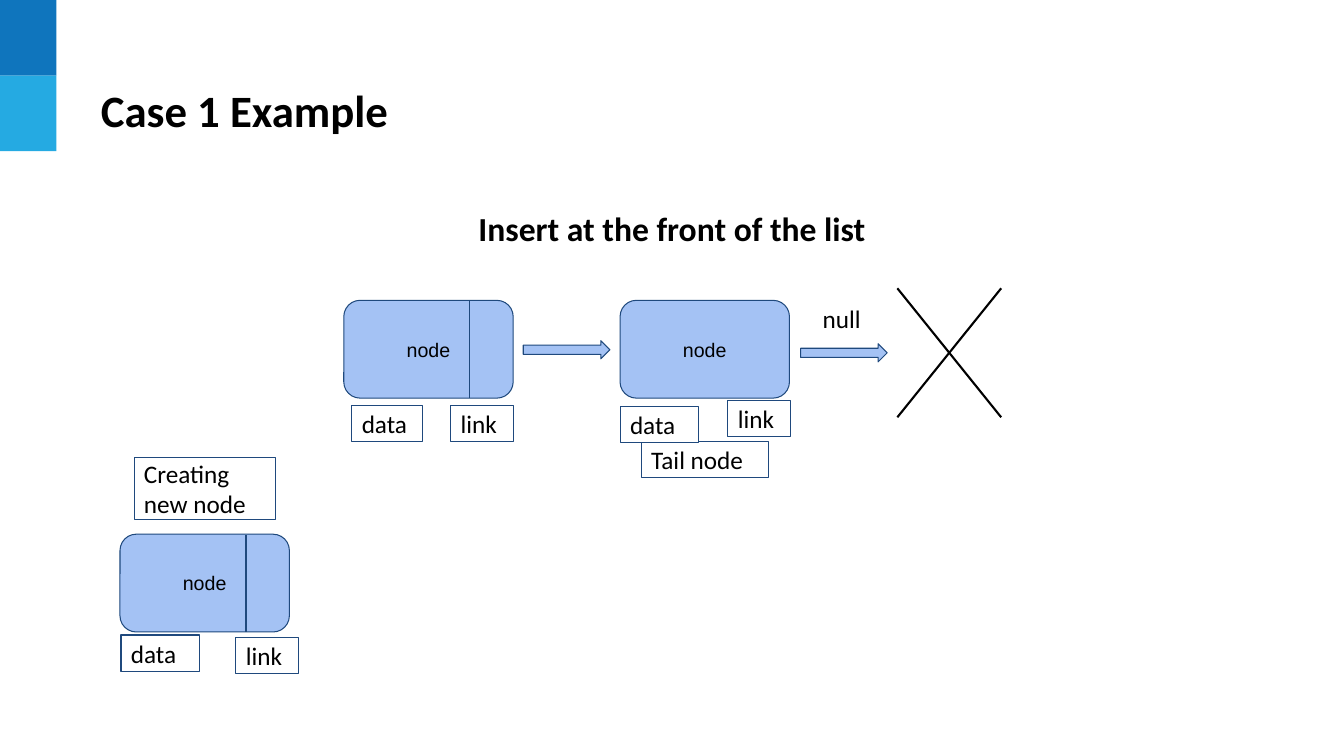
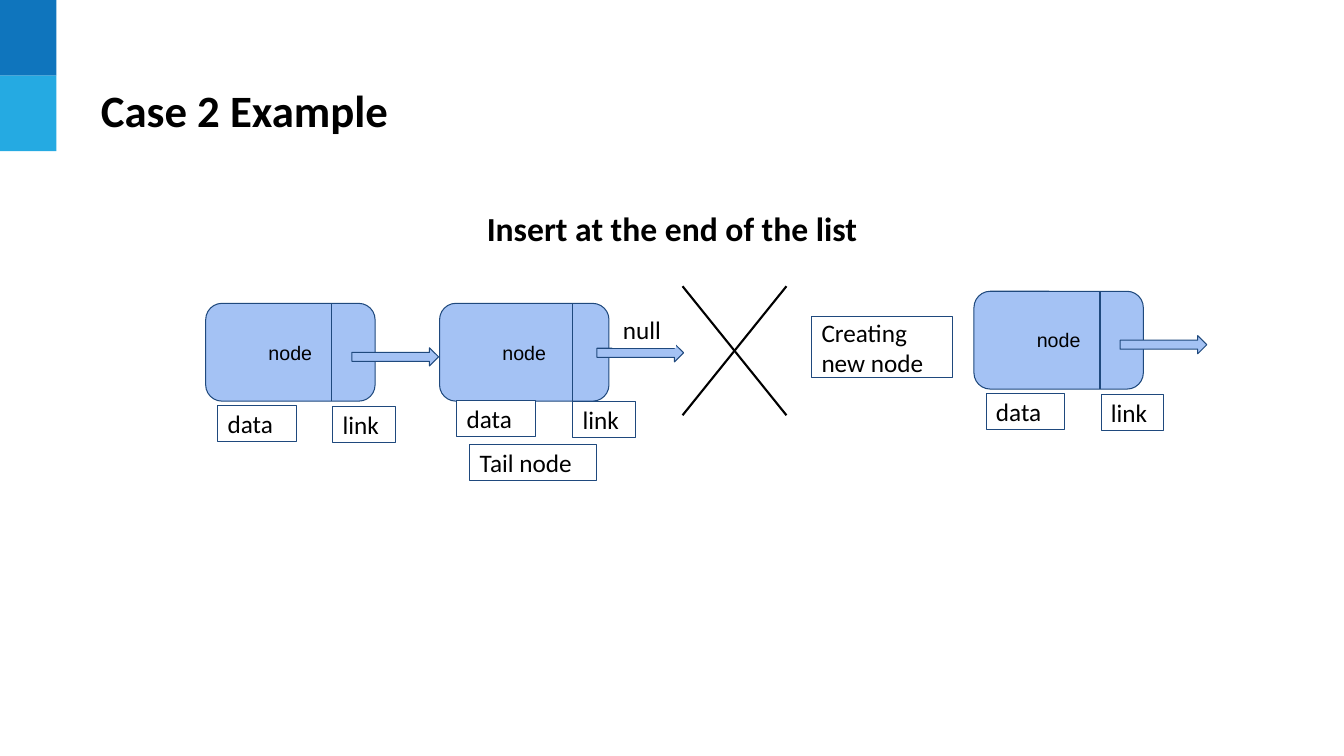
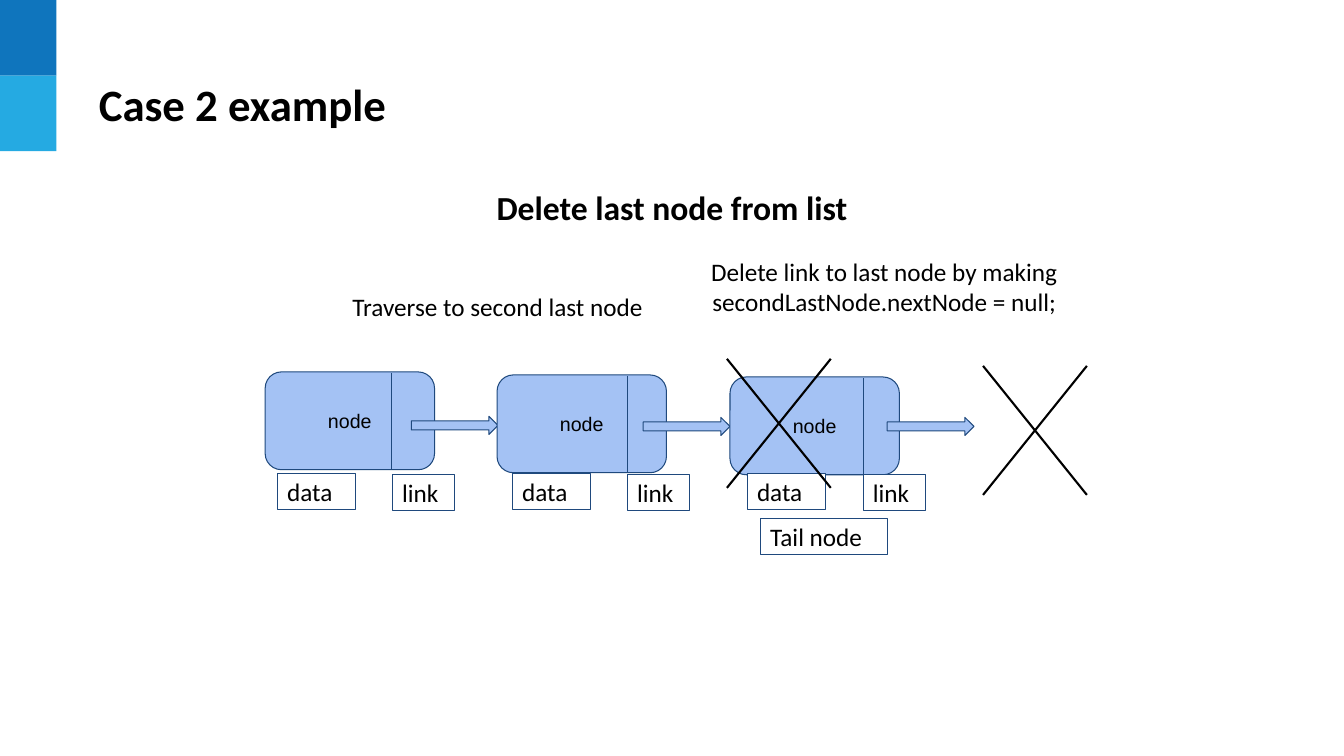
from dataclasses import dataclass, replace

from lxml import etree
from pptx import Presentation
from pptx.dml.color import RGBColor as RGB
from pptx.enum.shapes import MSO_CONNECTOR, MSO_SHAPE as SHAPE
from pptx.enum.text import MSO_ANCHOR as ANCHOR, MSO_AUTO_SIZE as AUTO, PP_ALIGN as ALIGN
from pptx.oxml.ns import qn
from pptx.presentation import Presentation as Deck
from pptx.shapes.autoshape import Shape
from pptx.slide import Slide
from pptx.text.text import TextFrame
from pptx.util import Inches, Pt


@dataclass(frozen=True)
class Theme:
    ink: RGB = RGB(0x00, 0x00, 0x00)
    paper: RGB = RGB(0xFF, 0xFF, 0xFF)
    node: RGB = RGB(0xA4, 0xC2, 0xF4)
    outline: RGB = RGB(0x1F, 0x49, 0x7D)
    bands: tuple[RGB, ...] = (RGB(0x0F, 0x75, 0xBD), RGB(0x25, 0xAA, 0xE2))
    text_font: str = "Calibri"
    node_font: str = "Arial"
    title_size: float = 32
    heading_size: float = 24
    label_size: float = 18
    node_size: float = 14
    thin: float = 0.75
    thick: float = 1.5


@dataclass(frozen=True)
class Box:
    x: float
    y: float
    w: float
    h: float


@dataclass(frozen=True)
class Offset:
    dx: float
    dy: float


@dataclass(frozen=True)
class Node:
    x: float
    y: float
    divider: float | None = 1.25
    arrow: Offset | None = Offset(1.45, 0.44)
    tail: Offset | None = None
    link: Offset = Offset(1.26, 1.02)
    data: Offset = Offset(0.12, 1.01)
    data_width: float = 0.78


@dataclass(frozen=True)
class Cross:
    x: float
    y: float


@dataclass(frozen=True)
class Caption:
    text: str
    box: Box
    outlined: bool = False
    align: ALIGN = ALIGN.LEFT
    top_inset: float | None = None


@dataclass(frozen=True)
class Case:
    title: str
    heading: str
    nodes: tuple[Node, ...]
    crosses: tuple[Cross, ...]
    captions: tuple[Caption, ...]
    title_box: Box = Box(0.9, 0.64, 9.52, 0.9)
    heading_box: Box = Box(1.59, 1.96, 10.15, 0.61)


T = Theme()
NODE_W, NODE_H = 1.68, 0.97
ARROW_W, ARROW_H = 0.86, 0.18
LABEL_H, LINK_W, TAIL_W = 0.36, 0.62, 1.26
CROSS_W, CROSS_H = 1.03, 1.28
BAND_W, BAND_H = 0.56, 0.75

TAIL_NODE = Node(0, 0, divider=1.32, arrow=Offset(1.56, 0.4), tail=Offset(0.3, 1.4),
                 link=Offset(1.32, 0.97), data=Offset(0.17, 0.96))

CASES = (
    Case(
        "Case 1 Example", "Insert at the front of the list",
        nodes=(
            Node(6.15, 2.98, divider=None, arrow=Offset(1.79, 0.43), tail=Offset(0.21, 1.4),
                 link=Offset(1.07, 0.99), data=Offset(0, 1.05)),
            Node(3.41, 2.98, arrow=Offset(1.78, 0.4), link=Offset(1.06, 1.04),
                 data=Offset(0.08, 1.04), data_width=0.7),
            Node(1.19, 5.3, arrow=None, link=Offset(1.15, 1.02), data=Offset(0.01, 1)),
        ),
        crosses=(Cross(8.9, 2.86),),
        captions=(
            Caption("null", Box(8.06, 2.98, 0.62, 0.36)),
            Caption("Creating new node", Box(1.33, 4.54, 1.4, 0.61), outlined=True),
        ),
    ),
    Case(
        "Case 2 Example", "Insert at the end of the list",
        nodes=(Node(9.66, 2.89), replace(TAIL_NODE, x=4.36, y=3.01), Node(2.04, 3.01)),
        crosses=(Cross(6.77, 2.84),),
        captions=(
            Caption("Creating new node", Box(8.05, 3.14, 1.4, 0.61), outlined=True),
            Caption("null", Box(6.08, 3.09, 0.62, 0.36)),
        ),
    ),
    Case(
        "Case 2 example", "Delete last node from list",
        nodes=(
            Node(2.63, 3.69),
            Node(4.93, 3.72, divider=1.29, arrow=Offset(1.45, 0.42),
                 link=Offset(1.29, 0.99), data=Offset(0.15, 0.98)),
            replace(TAIL_NODE, x=7.24, y=3.74),
        ),
        crosses=(Cross(9.75, 3.63), Cross(7.21, 3.56)),
        captions=(
            Caption("Traverse to second last node", Box(3.11, 2.73, 3.65, 0.61),
                    align=ALIGN.CENTER),
            Caption("Delete link to last node by making secondLastNode.nextNode = null;",
                    Box(6.38, 2.52, 4.78, 0.9), align=ALIGN.CENTER, top_inset=0.02),
        ),
        title_box=Box(0.88, 0.58, 9.01, 0.9),
        heading_box=Box(4.07, 1.75, 5.19, 0.61),
    ),
)


def inches(box: Box) -> tuple[Inches, ...]:
    return tuple(Inches(v) for v in (box.x, box.y, box.w, box.h))


def write(tf: TextFrame, text: str, size: float, font: str = T.text_font,
          bold: bool = False, align: ALIGN = ALIGN.LEFT,
          anchor: ANCHOR = ANCHOR.MIDDLE, inset: float = 0.1) -> None:
    tf.text = text
    tf.word_wrap = True
    tf.auto_size = AUTO.NONE
    tf.vertical_anchor = anchor
    tf.margin_left = tf.margin_right = Inches(0.1)
    tf.margin_top = tf.margin_bottom = Inches(inset)
    for p in tf.paragraphs:
        p.alignment = align
        for r in p.runs:
            r.font.name, r.font.size, r.font.bold = font, Pt(size), bold
            r.font.color.rgb = T.ink


def add_shape(s: Slide, kind: SHAPE, box: Box, fill: RGB, line: RGB | None = T.outline) -> Shape:
    sp = s.shapes.add_shape(kind, *inches(box))
    sp.shadow.inherit = False
    sp.fill.solid()
    sp.fill.fore_color.rgb = fill
    if line is None:
        sp.line.fill.background()
    else:
        sp.line.color.rgb = line
        sp.line.width = Pt(T.thin)
    return sp


def add_line(s: Slide, x1: float, y1: float, x2: float, y2: float,
             color: RGB, width: float) -> None:
    c = s.shapes.add_connector(MSO_CONNECTOR.STRAIGHT, Inches(x1), Inches(y1),
                               Inches(x2), Inches(y2))
    c.line.color.rgb = color
    c.line.width = Pt(width)
    etree.SubElement(c.element.spPr, qn("a:effectLst"))


def add_caption(s: Slide, caption: Caption) -> None:
    line = T.outline if caption.outlined else T.paper
    sp = add_shape(s, SHAPE.RECTANGLE, caption.box, T.paper, line)
    write(sp.text_frame, caption.text, T.label_size, align=caption.align)
    if caption.top_inset is not None:
        sp.text_frame.vertical_anchor = ANCHOR.TOP
        sp.text_frame.margin_top = Inches(caption.top_inset)


def add_node(s: Slide, node: Node) -> None:
    body = add_shape(s, SHAPE.ROUNDED_RECTANGLE, Box(node.x, node.y, NODE_W, NODE_H), T.node)
    write(body.text_frame, "node", T.node_size, T.node_font, align=ALIGN.CENTER)
    if node.divider is not None:
        x = node.x + node.divider
        add_line(s, x, node.y + 0.01, x, node.y + NODE_H, T.outline, T.thin)
    if node.arrow is not None:
        add_shape(s, SHAPE.RIGHT_ARROW,
                  Box(node.x + node.arrow.dx, node.y + node.arrow.dy, ARROW_W, ARROW_H), T.node)
    labels = (("Tail node", node.tail, TAIL_W), ("link", node.link, LINK_W),
              ("data", node.data, node.data_width))
    for text, offset, width in labels:
        if offset is not None:
            box = Box(node.x + offset.dx, node.y + offset.dy, width, LABEL_H)
            add_caption(s, Caption(text, box, outlined=True))


def add_cross(s: Slide, cross: Cross) -> None:
    top, bottom = cross.y, cross.y + CROSS_H
    for start, end in ((top, bottom), (bottom, top)):
        add_line(s, cross.x + CROSS_W, start, cross.x, end, T.ink, T.thick)


def add_bands(prs: Deck, s: Slide) -> None:
    tree = prs.slide_master.shapes.element
    for i, color in enumerate(T.bands):
        band = add_shape(s, SHAPE.RECTANGLE, Box(0, i * BAND_H, BAND_W, BAND_H), color, None)
        band.element.nvSpPr.cNvPr.set("id", str(100 + i))
        tree.insert(2 + i, band.element)


def add_case(s: Slide, case: Case) -> None:
    title = s.shapes.title
    title.left, title.top, title.width, title.height = inches(case.title_box)
    write(title.text_frame, case.title, T.title_size, bold=True, inset=0.05)
    heading = s.shapes.add_textbox(*inches(case.heading_box))
    write(heading.text_frame, case.heading, T.heading_size, bold=True,
          align=ALIGN.CENTER, anchor=ANCHOR.TOP)
    heading.text_frame.auto_size = AUTO.SHAPE_TO_FIT_TEXT
    for node in case.nodes:
        add_node(s, node)
    for cross in case.crosses:
        add_cross(s, cross)
    for caption in case.captions:
        add_caption(s, caption)


def main() -> None:
    prs = Presentation()
    prs.slide_width, prs.slide_height = Inches(13.33), Inches(7.5)
    title_only = prs.slide_layouts.get_by_name("Title Only")
    for i, case in enumerate(CASES):
        s = prs.slides.add_slide(title_only)
        if i == 0:
            add_bands(prs, s)
        add_case(s, case)
    prs.save("out.pptx")


main()
